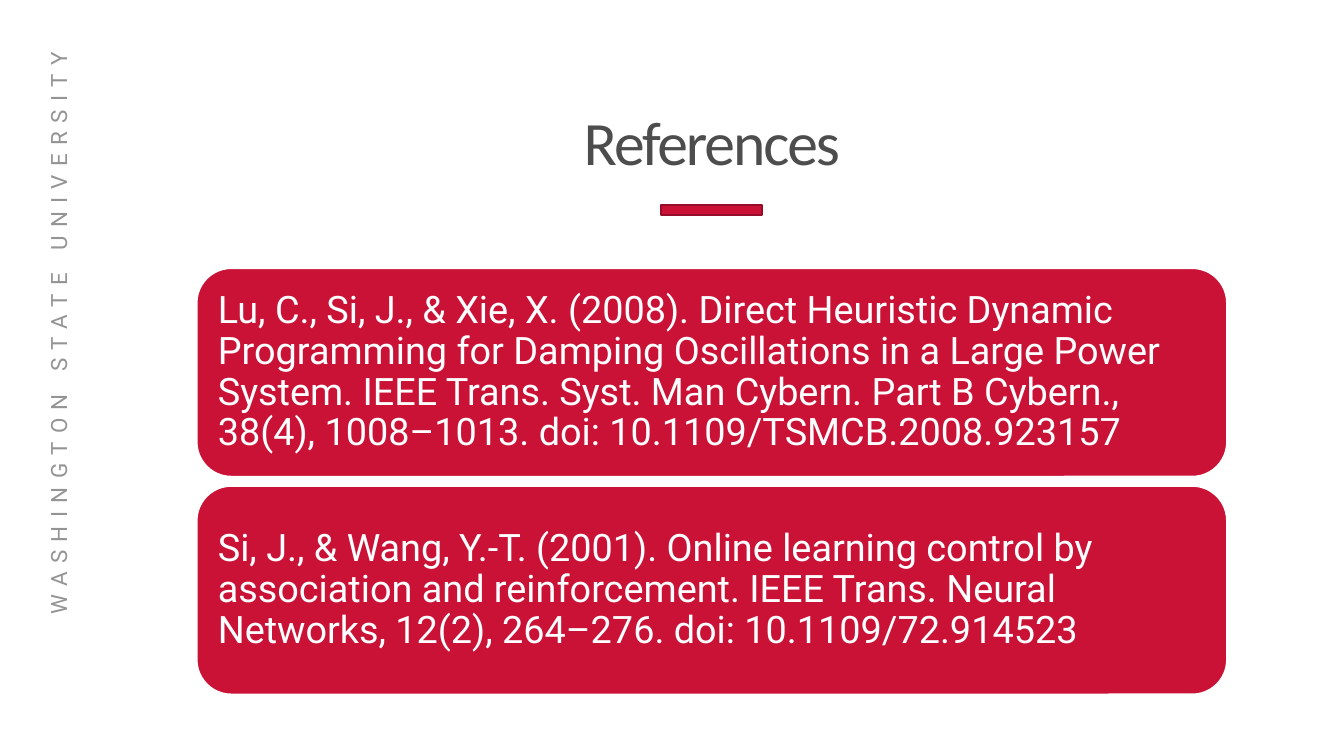
from pptx import Presentation
from pptx.dml.color import RGBColor
from pptx.enum.shapes import MSO_SHAPE
from pptx.enum.text import MSO_ANCHOR, PP_ALIGN
from pptx.util import Inches, Pt

TITLE = "References"
SIDE_LABEL = "WASHINGTON STATE UNIVERSITY"
REFERENCES = [
    "Lu, C., Si, J., & Xie, X. (2008). Direct Heuristic Dynamic Programming for "
    "Damping Oscillations in a Large Power System. IEEE Trans. Syst. Man Cybern. "
    "Part B Cybern., 38(4), 1008–1013. doi: 10.1109/TSMCB.2008.923157",
    "Si, J., & Wang, Y.-T. (2001). Online learning control by association and "
    "reinforcement. IEEE Trans. Neural Networks, 12(2), 264–276. "
    "doi: 10.1109/72.914523",
]

CRIMSON = RGBColor(0xCA, 0x12, 0x37)
DARK_CRIMSON = RGBColor(0x95, 0x0D, 0x29)
WHITE = RGBColor(0xFF, 0xFF, 0xFF)
GRAY = RGBColor(0x94, 0x94, 0x94)
CHARCOAL = RGBColor(0x4D, 0x4D, 0x4D)
RECTANGLE, ROUNDED = MSO_SHAPE.RECTANGLE, MSO_SHAPE.ROUNDED_RECTANGLE
LEFT, CENTER = PP_ALIGN.LEFT, PP_ALIGN.CENTER
MIDDLE, BOTTOM = MSO_ANCHOR.MIDDLE, MSO_ANCHOR.BOTTOM
TOP = MSO_ANCHOR.TOP

COLUMN_LEFT, COLUMN_WIDTH = 1.95, 10.22
CARD_TOP, CARD_HEIGHT, CARD_GAP = 2.66, 2.07, 0.09
BAR_WIDTH = 1

LABEL_STYLE = {"name": "Roboto", "size": Pt(16), "bold": False}
CARD_STYLE = {"name": "Roboto", "size": Pt(27), "bold": False}
TITLE_STYLE = {"name": "Calibri", "size": Pt(44), "bold": False}


def write(shape, text, style, color, align, anchor, inset, line_spacing=1.0, tracking=0):
    frame = shape.text_frame
    frame.word_wrap = True
    frame.vertical_anchor = anchor
    for side, margin in zip(("left", "top", "right", "bottom"), inset):
        setattr(frame, f"margin_{side}", Inches(margin))
    para = frame.paragraphs[0]
    para.alignment = align
    para.line_spacing = line_spacing
    para.space_before = Pt(0)
    span = para.add_run()
    span.text = text
    for key, value in style.items():
        setattr(span.font, key, value)
    span.font.color.rgb = color
    if tracking:
        span._r.get_or_add_rPr().set("spc", str(int(tracking * 100)))


def add_block(page, kind, place, outline):
    block = page.shapes.add_shape(kind, *map(Inches, place))
    block.shadow.inherit = False
    block.fill.solid()
    block.fill.fore_color.rgb = CRIMSON
    block.line.color.rgb = outline
    block.line.width = Pt(1.35)
    return block


def main():
    deck = Presentation()
    deck.slide_width, deck.slide_height = Inches(13.33), Inches(7.5)
    page = deck.slides.add_slide(deck.slide_layouts[5])

    title = page.shapes.title
    title.left, title.top = Inches(COLUMN_LEFT), Inches(0.38)
    title.width, title.height = Inches(COLUMN_WIDTH), Inches(1.39)
    write(title, TITLE, TITLE_STYLE, CHARCOAL, CENTER, BOTTOM, (0, 0, 0, 0), 0.9, -1.5)

    label = page.shapes.add_textbox(*map(Inches, (-2.52, 2.91, 6.2, 0.37)))
    label.rotation = 270
    write(label, SIDE_LABEL, LABEL_STYLE, GRAY, LEFT, TOP, (0.1, 0.05, 0.1, 0.05), tracking=6)

    bar_left = COLUMN_LEFT + (COLUMN_WIDTH - BAR_WIDTH) / 2
    add_block(page, RECTANGLE, (bar_left, 2.03, BAR_WIDTH, 0.1), DARK_CRIMSON)

    for index, reference in enumerate(REFERENCES):
        top = CARD_TOP + index * (CARD_HEIGHT + CARD_GAP)
        card = add_block(page, ROUNDED, (COLUMN_LEFT, top, COLUMN_WIDTH, CARD_HEIGHT), WHITE)
        write(card, reference, CARD_STYLE, WHITE, LEFT, MIDDLE, (0.11, 0.11, 0.11, 0.11), 0.9)

    deck.save("out.pptx")


if __name__ == "__main__":
    main()
